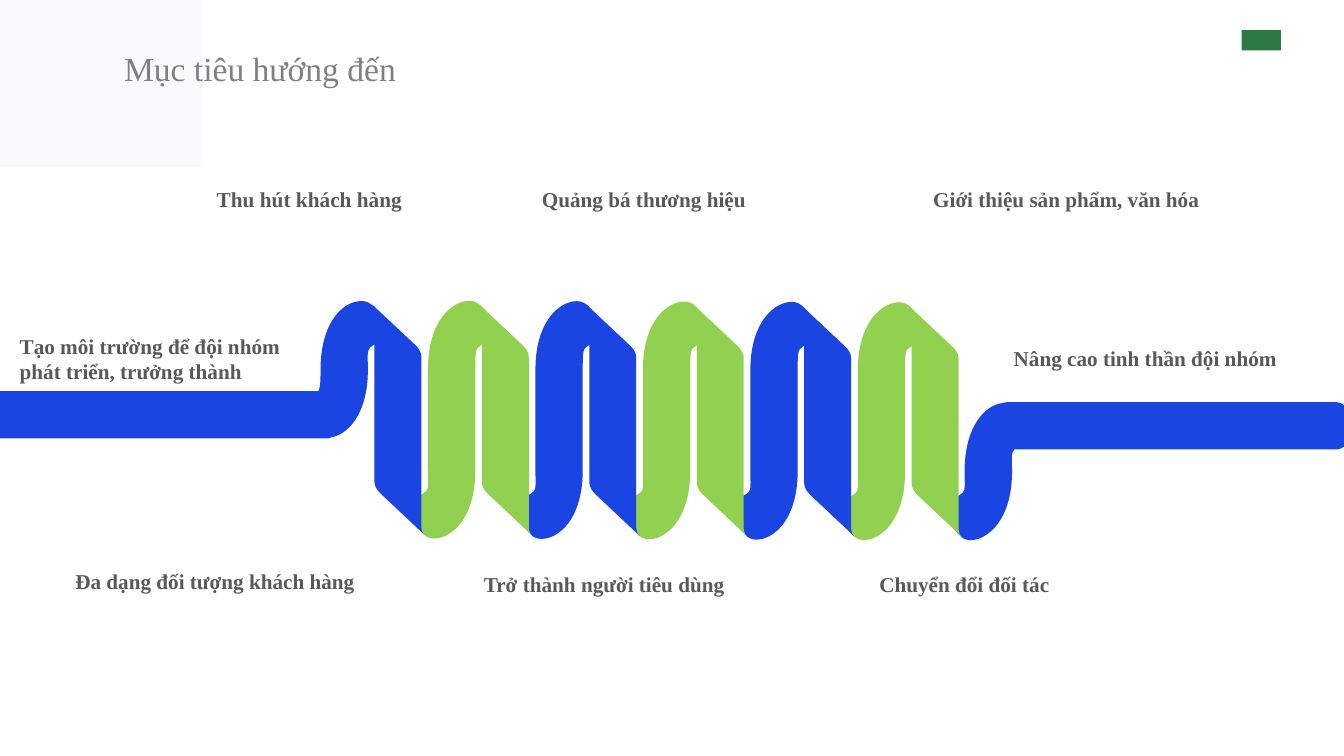
import pptx
import pptx.dml.color
import pptx.enum.shapes
import pptx.enum.text
import pptx.oxml.ns
import pptx.util

Pt = pptx.util.Pt
BLUE, GREEN, GRAY = "1B45E3", "92D050", "595959"

deck = pptx.Presentation()
deck.slide_width, deck.slide_height = Pt(960), Pt(540)
slide = deck.slides.add_slide(deck.slide_layouts[6])
shapes = slide.shapes


def paint(shape, color):
    shape.shadow.inherit = False
    shape.fill.solid()
    shape.fill.fore_color.rgb = pptx.dml.color.RGBColor.from_string(color)
    shape.line.fill.background()


def ribbon(path, color, left=0, top=0):
    """Draw a closed outline; a step of 2 numbers is a line, of 6 a Bezier curve."""
    dots = [(Pt(left + step[n]), Pt(top + step[n + 1]))
            for step in path for n in range(0, len(step), 2)]
    pen = shapes.build_freeform(*dots[0], scale=1.0)
    pen.add_line_segments(dots[1:], close=True)
    shape = pen.convert_to_shape()
    lines = iter(shape._element.xpath(".//a:lnTo"))
    for step in path[1:]:
        line = next(lines)
        if len(step) == 6:
            line.tag = pptx.oxml.ns.qn("a:cubicBezTo")
            for extra in (next(lines), next(lines)):
                line.append(extra[0])
                extra.getparent().remove(extra)
    paint(shape, color)


# Corner panel and badge
rect = pptx.enum.shapes.MSO_SHAPE.RECTANGLE
for x, y, w, h, color in [(0, 0, 145, 119.5, "FAFAFD"),
                          (887, 21.5, 28, 14.5, "2E7845")]:
    paint(shapes.add_shape(rect, Pt(x), Pt(y), Pt(w), Pt(h)), color)

# Coil: each turn is a bend and a fold, measured from the top of the fold
bend = [(-2.2, 118.8), (-2.2, 46.8),
        (-2.2, 38.9, -2.2, 33.3, -0.7, 31.7),
        (5.8, 25.2, 12.2, 28, 13.7, 23.8),
        (15.8, 18, 6.5, 5, 0, 0),
        (-8.6, -7.2, -36, 3, -36, 46.8), (-36, 118.8),
        (-36, 126.7, -35.3, 132.5, -37.4, 134),
        (-43.9, 139.7, -50.4, 137.5, -51.8, 141.1),
        (-53.3, 147.6, -43.9, 160.6, -38.2, 165.6),
        (-29.5, 172.8, -2.2, 162.7, -2.2, 118.8)]
fold = [(36, 159.8), (36, 38.2),
        (36, 37, 36, 34, 32, 30), (0, 0),
        (0.5, 0.5, 2.5, 3, 2.5, 6), (2.5, 127.5),
        (2.5, 129, 3, 132, 6.5, 135.5), (38.5, 165.6),
        (38, 165.5, 36, 163, 36, 159.8)]
start = [(255.6, 215.3),
         (259, 214.6, 262.8, 215.3, 265, 217.4),
         (270.7, 222.5, 280, 234.7, 278.6, 241.2),
         (277.2, 245.5, 270.7, 242.6, 264.2, 248.4),
         (262, 250.6, 262.8, 255.6, 262.8, 264.2),
         (262.8, 296.6, 247.7, 311, 236.2, 312.5),
         (235.4, 313.2), (-3, 313.2), (-3, 279.4), (227.5, 279.4), (228.2, 277.2),
         (229, 274.3, 229, 270, 229, 264.2),
         (229, 231.1, 244.1, 216.7, 255.6, 215.3)]
end = [(720.7, 287.3), (954.7, 287.3),
       (959, 287.3, 962.6, 290.9, 962.6, 295.2), (962.6, 313.2),
       (962.6, 317.5, 959, 321.1, 954.7, 321.1), (724.5, 321.1),
       (722, 323.3, 722.9, 328.3, 722.9, 337),
       (722.9, 380.2, 695.5, 391, 686.9, 383.8),
       (681.1, 378.7, 671.8, 365.8, 673.9, 359.3),
       (675.4, 355, 681.1, 357.8, 687.6, 352.1),
       (689.8, 349.9, 689, 344.9, 689, 337),
       (689, 303.8, 704.2, 289.4, 715.7, 288),
       (717.5, 287.3, 719, 287.3, 720.7, 287.3)]

ribbon(end, BLUE)
for turn in reversed(range(6)):
    color = GREEN if turn % 2 else BLUE
    spot = 265 + 76.75 * turn, 216.75 + 0.25 * turn
    if turn:
        ribbon(bend, color, *spot)
    else:
        ribbon(start, color)
    ribbon(fold, color, *spot)

# Title and labels
LEFT, MID = pptx.enum.text.PP_ALIGN.LEFT, pptx.enum.text.PP_ALIGN.CENTER
texts = [
    ("Mục tiêu hướng đến", 81.5, 31, 466, 36, 24, LEFT),
    ("Thu hút khách hàng", 127.5, 129.5, 187, 25, 15.2, MID),
    ("Quảng bá thương hiệu", 380, 129.5, 272, 25, 15.1, LEFT),
    ("Giới thiệu sản phẩm, văn hóa", 659.5, 129.5, 266, 25, 15.1, LEFT),
    ("Tạo môi trường để đội nhóm\nphát triển, trưởng thành", 7, 234.5, 261, 44, 15.1, LEFT),
    ("Nâng cao tinh thần đội nhóm", 717, 243.5, 243, 25, 15.1, LEFT),
    ("Đa dạng đối tượng khách hàng", 19, 402.5, 269, 25, 15.1, MID),
    ("Trở thành người tiêu dùng", 338.5, 404.5, 289, 25, 15.1, LEFT),
    ("Chuyển đổi đối tác", 621, 404.5, 261, 25, 15.1, LEFT),
]
for words, x, y, w, h, size, align in texts:
    frame = shapes.add_textbox(Pt(x), Pt(y), Pt(w), Pt(h)).text_frame
    frame.word_wrap = True
    frame.text = words
    title = size == 24
    for para in frame.paragraphs:
        para.alignment = align
        for run in para.runs:
            run.font.name = "Times New Roman"
            run.font.size = Pt(size)
            run.font.bold = not title
            run.font.color.rgb = pptx.dml.color.RGBColor.from_string(
                "808080" if title else GRAY)

deck.save("out.pptx")
